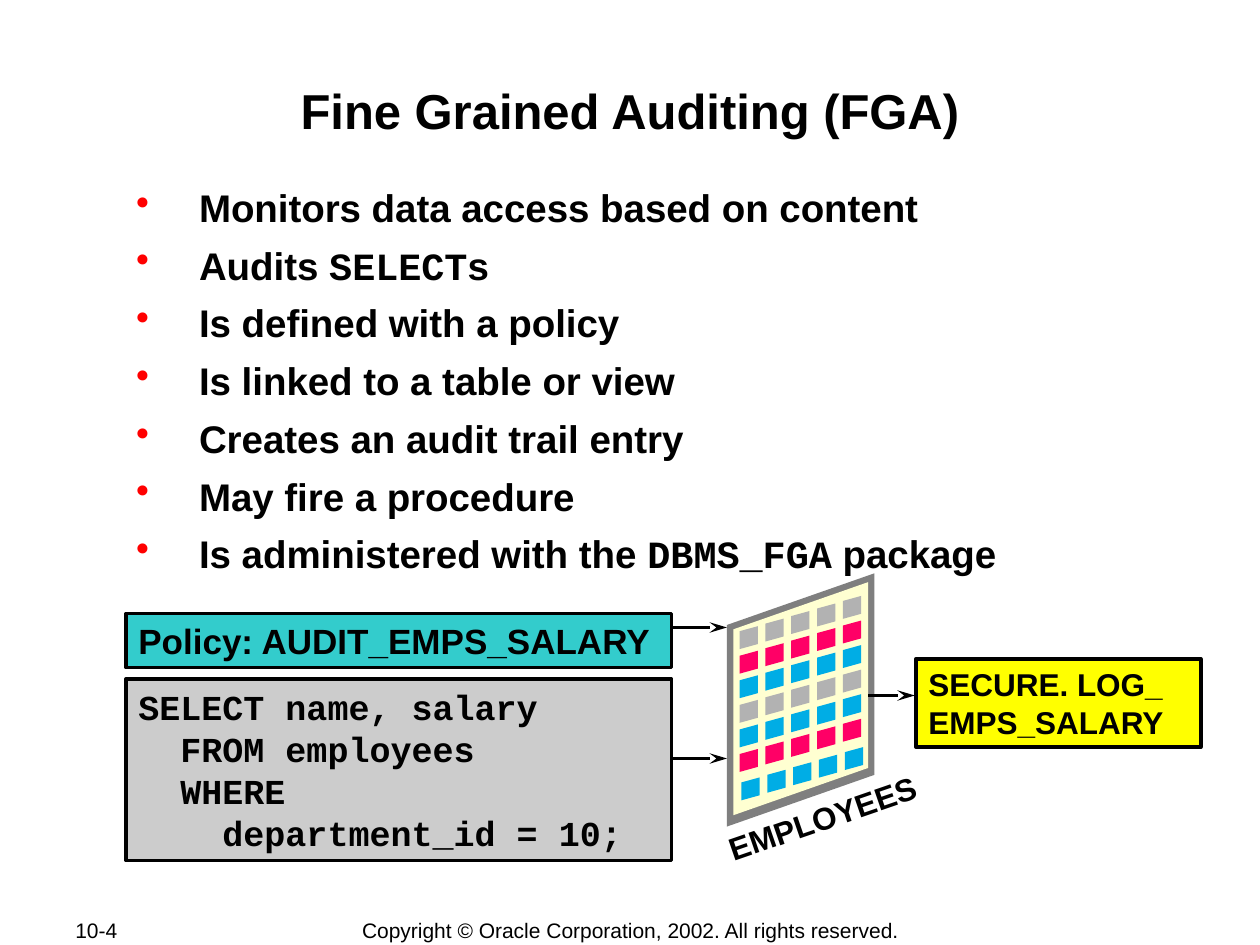
import pptx
import pptx.dml.color
import pptx.enum.shapes
import pptx.enum.text
import pptx.oxml.ns
import pptx.util
from lxml import etree

RGBColor = pptx.dml.color.RGBColor
Align = pptx.enum.text.PP_ALIGN
Anchor = pptx.enum.text.MSO_ANCHOR

BLACK = RGBColor(0x00, 0x00, 0x00)
RED = RGBColor(0xFF, 0x00, 0x00)
TEAL = RGBColor(0x33, 0xCC, 0xCC)
LIGHT_GRAY = RGBColor(0xCC, 0xCC, 0xCC)
YELLOW = RGBColor(0xFF, 0xFF, 0x00)
FRAME_GRAY = RGBColor(0x7F, 0x7F, 0x7F)
CREAM = RGBColor(0xFF, 0xFF, 0xD1)
TILE_GRAY = RGBColor(0xB2, 0xB2, 0xB2)
TILE_PINK = RGBColor(0xFF, 0x00, 0x66)
TILE_BLUE = RGBColor(0x00, 0xAD, 0xE5)

SANS = "Arial"
MONO = "Courier New"

# The slide is a grid of 100 columns by 75 rows of square cells.
COLUMNS, ROWS = 100, 75
CELL = pptx.util.Inches(0.1)

BULLETS = [
    [("Monitors data access based on content", SANS)],
    [("Audits ", SANS), ("SELECT", MONO), ("s", SANS)],
    [("Is defined with a policy", SANS)],
    [("Is linked to a table or view", SANS)],
    [("Creates an audit trail entry", SANS)],
    [("May fire a procedure", SANS)],
    [("Is administered with the ", SANS), ("DBMS_FGA", MONO), (" package", SANS)],
]
QUERY = [
    "SELECT name, salary",
    "  FROM employees",
    "  WHERE",
    "    department_id = 10;",
]
TILE_ROWS = [TILE_GRAY, TILE_PINK, TILE_BLUE, TILE_GRAY,
             TILE_BLUE, TILE_PINK, TILE_BLUE]


def cells(*counts):
    """Turn numbers of grid cells into lengths."""
    return [round(count * CELL) for count in counts]


def add_bullet(paragraph):
    properties = paragraph._p.get_or_add_pPr()
    properties.set("marL", str(pptx.util.Inches(0.63)))
    properties.set("indent", str(-pptx.util.Inches(0.5)))
    color = etree.SubElement(properties, pptx.oxml.ns.qn("a:buClr"))
    etree.SubElement(color, pptx.oxml.ns.qn("a:srgbClr"), val=str(RED))
    etree.SubElement(properties, pptx.oxml.ns.qn("a:buChar"), char="•")


def write_text(shape, lines, size, font=SANS, bold=True, align=Align.LEFT,
               anchor=Anchor.TOP, wrap=True, margins=(1, 0.5), gap=0,
               bullets=False):
    """Fill a shape; a line is a string or a list of (text, font) runs."""
    frame = shape.text_frame
    frame.word_wrap = wrap
    frame.vertical_anchor = anchor
    frame.margin_left, frame.margin_top = cells(*margins)
    frame.margin_right, frame.margin_bottom = cells(*margins)
    for number, line in enumerate(lines):
        paragraph = frame.add_paragraph() if number else frame.paragraphs[0]
        if bullets:
            add_bullet(paragraph)
        paragraph.alignment = align
        if number:
            paragraph.space_before = pptx.util.Pt(gap)
        for text, name in [(line, font)] if isinstance(line, str) else line:
            run = paragraph.add_run()
            run.text = text
            run.font.name = name
            run.font.size = pptx.util.Pt(size)
            run.font.bold = bold
            run.font.color.rgb = BLACK


def add_label(shapes, place, lines, rotation=0, **text_format):
    label = shapes.add_textbox(*cells(*place))
    label.rotation = rotation
    write_text(label, lines, **text_format)


def add_box(shapes, place, fill, lines, line_width=2, **text_format):
    box = shapes.add_shape(
        pptx.enum.shapes.MSO_SHAPE.RECTANGLE, *cells(*place))
    box.shadow.inherit = False
    box.fill.solid()
    box.fill.fore_color.rgb = fill
    box.line.color.rgb = BLACK
    box.line.width = pptx.util.Pt(line_width)
    write_text(box, lines, **text_format)


def add_arrow(shapes, left, right, row):
    arrow = shapes.add_connector(
        pptx.enum.shapes.MSO_CONNECTOR.STRAIGHT, *cells(left, row, right, row))
    arrow.line.color.rgb = BLACK
    arrow.line.width = pptx.util.Pt(2)
    etree.SubElement(arrow.line._get_or_add_ln(), pptx.oxml.ns.qn("a:tailEnd"),
                     type="stealth", w="med", len="lg")
    etree.SubElement(arrow._element.spPr, pptx.oxml.ns.qn("a:effectLst"))


def add_slanted_panel(shapes, left, top, width, height, rise, fill):
    """Draw a panel with upright sides whose right side is higher by rise."""
    right = left + width
    corners = [(right, top), (left, top + rise),
               (left, top + rise + height), (right, top + height)]
    points = [cells(*corner) for corner in corners]
    builder = shapes.build_freeform(*points[0], scale=1.0)
    builder.add_line_segments(points[1:], close=True)
    panel = builder.convert_to_shape()
    panel.shadow.inherit = False
    panel.fill.solid()
    panel.fill.fore_color.rgb = fill
    panel.line.fill.background()


def add_employees_table(slide):
    shapes = slide.shapes.add_group_shape().shapes
    add_slanted_panel(shapes, 57.7, 45.5, 11.7, 16, 4.1, FRAME_GRAY)
    add_slanted_panel(shapes, 58.2, 46.2, 10.7, 14.75, 3.75, CREAM)
    last = len(TILE_ROWS) - 1
    for row, fill in enumerate(TILE_ROWS):
        left, top = 58.7, 49.7 + 1.95 * row
        if row == last:
            left, top = left + 0.15, top + 0.3
        for column in range(5):
            add_slanted_panel(shapes, left + 2.05 * column, top - 0.6 * column,
                              1.45, 1.42, 0.4, fill)
    add_label(shapes, (56.5, 62.9, 17.6, 4), ["EMPLOYEES"],
              rotation=341, size=18, wrap=False)


def main():
    presentation = pptx.Presentation()
    presentation.slide_width, presentation.slide_height = cells(COLUMNS, ROWS)
    slide = presentation.slides.add_slide(presentation.slide_layouts[6])
    shapes = slide.shapes

    footer = dict(size=12, bold=False, anchor=Anchor.MIDDLE, wrap=False)
    add_label(shapes, (5, 72.8, 10.6, 2), ["10-4"], **footer)
    add_label(shapes, (27.6, 72.8, 44.9, 2.1),
              ["Copyright © Oracle Corporation, 2002. All rights reserved."],
              align=Align.CENTER, **footer)

    add_label(shapes, (10, 6.3, 80, 9.1), ["Fine Grained Auditing (FGA)"],
              size=28, align=Align.CENTER, margins=(0.1, 0.1))
    add_label(shapes, (9.4, 14.5, 80.6, 30.2), BULLETS,
              size=22, margins=(0.1, 0.1), gap=6.6, bullets=True)

    add_arrow(shapes, 53.4, 57.7, 60.2)
    add_arrow(shapes, 53.4, 57.7, 49.8)
    add_employees_table(slide)
    add_box(shapes, (10, 48.7, 43.3, 4.3), TEAL,
            ["Policy: AUDIT_EMPS_SALARY"], size=20)
    add_box(shapes, (10, 53.9, 43.3, 14.4), LIGHT_GRAY, QUERY,
            size=20, font=MONO)
    add_box(shapes, (72.7, 52.3, 22.6, 7), YELLOW,
            ["SECURE. LOG_ EMPS_SALARY"], line_width=2.25, size=18)
    add_arrow(shapes, 68.9, 72.6, 55.2)

    presentation.save("out.pptx")


if __name__ == "__main__":
    main()
